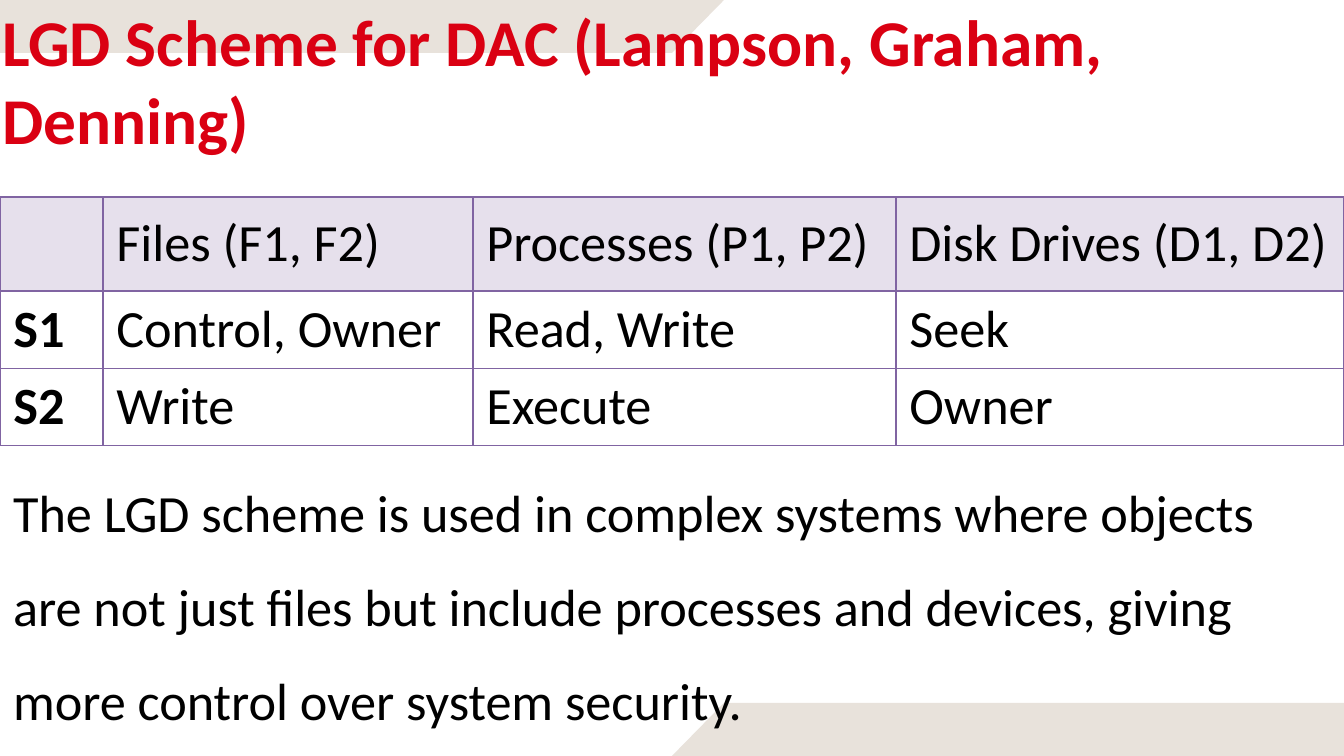
from lxml import etree
from pptx import Presentation
from pptx import util as u
from pptx.dml.color import RGBColor
from pptx.enum import text
from pptx.oxml import ns

PX = 914400 / 134.4
RED = RGBColor(0xDA, 0x00, 0x12)
BLACK = RGBColor(0x00, 0x00, 0x00)
BEIGE = RGBColor(0xE8, 0xE2, 0xDB)
LILAC = RGBColor(0xE6, 0xE0, 0xEC)
PURPLE = RGBColor(0x80, 0x64, 0xA2)


def px(length):
    return u.Emu(round(length * PX))


def write(paragraph, words, color, **font_format):
    run = paragraph.add_run()
    run.text = words
    run.font.color.rgb = color
    for name, value in {"name": "Calibri", "size": u.Pt(28), **font_format}.items():
        setattr(run.font, name, value)


presentation = Presentation()
presentation.slide_width = px(1344)
presentation.slide_height = px(756)
slide = presentation.slides.add_slide(presentation.slide_layouts[5])

bands = [
    [(724, 0), (0, 0), (0, 53), (672, 53)],
    [(1344, 703), (724, 703), (672, 756), (1344, 756)],
]
for start, *corners in bands:
    builder = slide.shapes.build_freeform(*start, scale=PX)
    builder.add_line_segments(corners, close=True)
    band = builder.convert_to_shape()
    band.shadow.inherit = False
    band.fill.solid()
    band.fill.fore_color.rgb = BEIGE
    band.line.fill.background()

title = slide.shapes.title
slide.shapes._spTree.append(title._element)
title_box = {"left": 0, "top": 0, "width": 1120, "height": 160}
for name, value in title_box.items():
    setattr(title, name, px(value))
title_frame = {
    "margin_left": 0, "margin_top": px(1), "margin_right": 0, "margin_bottom": 0,
    "vertical_anchor": text.MSO_ANCHOR.TOP, "word_wrap": True,
    "auto_size": text.MSO_AUTO_SIZE.NONE,
}
for name, value in title_frame.items():
    setattr(title.text_frame, name, value)
paragraph = title.text_frame.paragraphs[0]
paragraph.alignment = text.PP_ALIGN.LEFT
paragraph.space_before = u.Pt(1.1)
paragraph._p.get_or_add_pPr().set("marL", str(px(2)))
write(paragraph, "LGD Scheme for DAC (Lampson, Graham, Denning)", RED, size=u.Pt(35), bold=True)

rights = [
    ["", "Files (F1, F2)", "Processes (P1, P2)", "Disk Drives (D1, D2)"],
    ["S1", "Control, Owner", "Read, Write", "Seek"],
    ["S2", "Write", "Execute", "Owner"],
]
column_widths = [103, 370, 423, 448]
row_heights = [94, 76, 76]
table = slide.shapes.add_table(3, 4, 0, px(197), px(1344), px(246)).table
table.first_row = False
table.horz_banding = False
for column, width in zip(table.columns, column_widths):
    column.width = px(width)
for row, height, entries in zip(table.rows, row_heights, rights):
    row.height = px(height)
    for cell, entry in zip(row.cells, entries):
        cell.vertical_anchor = text.MSO_ANCHOR.MIDDLE
        for side in ("a:lnL", "a:lnR", "a:lnT", "a:lnB"):
            border = etree.SubElement(cell._tc.get_or_add_tcPr(), ns.qn(side), w=str(u.Pt(1)))
            border_fill = etree.SubElement(border, ns.qn("a:solidFill"))
            etree.SubElement(border_fill, ns.qn("a:srgbClr"), val=str(PURPLE))
        if entries is rights[0]:
            cell.fill.solid()
            cell.fill.fore_color.rgb = LILAC
        else:
            cell.fill.background()
        if entry:
            write(cell.text_frame.paragraphs[0], entry, BLACK, bold=entry in ("S1", "S2"))

summary = slide.shapes.add_textbox(0, px(442), px(1344), px(289))
summary.text_frame.word_wrap = True
paragraph = summary.text_frame.paragraphs[0]
paragraph.line_spacing = 1.5
write(
    paragraph,
    "The LGD scheme is used in complex systems where objects are not just files "
    "but include processes and devices, giving more control over system security.",
    BLACK,
)

presentation.save("out.pptx")
